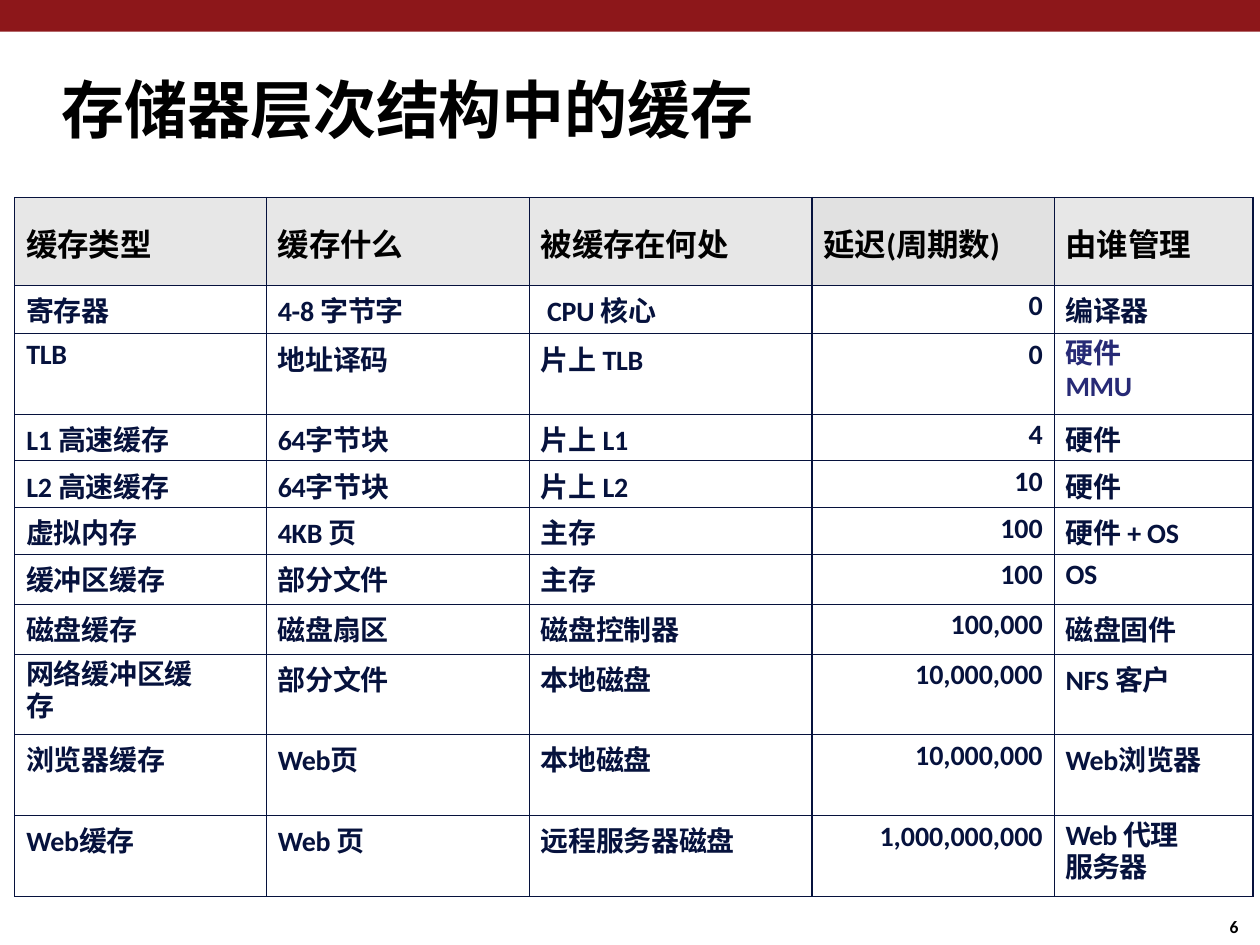
from dataclasses import dataclass
from typing import Any

from lxml import etree
from pptx import Presentation
from pptx import util as u
from pptx.dml.color import RGBColor
from pptx.enum import shapes, text
from pptx.oxml.ns import qn

COLORS = {
    "bar": "8D171A",
    "black": "000000",
    "navy": "06123D",
    "violet": "272A76",
    "header": "E7E7E7",
    "latency": "E1E1E1",
}
LATENCY_COL = 3
COL_WIDTHS = [5.07, 5.3, 5.7, 4.88, 4.01]
ROW_HEIGHTS = [1.77, 0.98, 1.62, 0.94, 0.94, 0.94, 1.01, 1.01, 1.62, 1.63, 1.63]


@dataclass
class Style:
    size: float
    color: str
    spc: int = -10
    indent: float = 0
    before: float = 0
    line: float | None = None
    align: text.PP_ALIGN = text.PP_ALIGN.LEFT


@dataclass
class Cell:
    text: str
    style: Style
    top: float = 0.08
    right: float = 0


@dataclass
class Label:
    text: str
    left: float
    top: float
    width: float
    height: float
    style: Style


HEADER = Style(18, "black", indent=0.23, before=12.7)
BODY = Style(16, "navy", indent=0.23, before=1.9)
CORE = Style(16, "navy", indent=0.36, before=1.9)
NUMBER = Style(16, "navy", spc=0, before=1.9, align=text.PP_ALIGN.RIGHT)
TIGHT = Style(16, "navy", indent=0.23, before=3, line=18.7)
PROXY = Style(16, "navy", spc=-40, indent=0.23, before=3, line=18.7)
MMU = Style(16, "violet", indent=0.23, before=3, line=18.7)

HEADINGS = ["缓存类型", "缓存什么", "被缓存在何处", "延迟(周期数)", "由谁管理"]
ROWS = [
    ["寄存器", "4-8 字节字", Cell("CPU 核心", CORE), "0", "编译器"],
    ["TLB", "地址译码", "片上 TLB", "0", Cell("硬件MMU", MMU, 0.1, 1.65)],
    ["L1 高速缓存", "64字节块", "片上 L1", "4", "硬件"],
    ["L2 高速缓存", "64字节块", "片上 L2", "10", "硬件"],
    ["虚拟内存", "4KB 页", "主存", "100", "硬件 + OS"],
    ["缓冲区缓存", "部分文件", "主存", "100", "OS"],
    ["磁盘缓存", "磁盘扇区", "磁盘控制器", "100,000", "磁盘固件"],
    [Cell("网络缓冲区缓存", TIGHT, 0.1, 1.15), "部分文件", "本地磁盘", "10,000,000", "NFS 客户"],
    ["浏览器缓存", "Web页", "本地磁盘", "10,000,000", "Web浏览器"],
    ["Web缓存", "Web 页", "远程服务器磁盘", "1,000,000,000", Cell("Web 代理服务器", PROXY, 0.1, 1.15)],
]
LABELS = [
    Label("6", 24.71, 18.52, 0.51, 0.43, Style(10, "black", indent=0.08, line=10.4)),
    Label("存储器层次结构中的缓存", 1.22, 1.42, 22.99, 1.55, Style(36, "black", indent=0.03)),
]


def rgb(name: str) -> RGBColor:
    return RGBColor.from_string(COLORS[name])


def apply(obj: Any, formats: dict[str, Any]) -> None:
    for name, value in formats.items():
        setattr(obj, name, value)


def write(tf: Any, content: str, style: Style) -> None:
    p = tf.paragraphs[0]
    apply(p, {"alignment": style.align, "space_before": u.Pt(style.before)})
    if style.line:
        p.line_spacing = u.Pt(style.line)
    p._p.get_or_add_pPr().set("marL", str(u.Cm(style.indent)))
    r = p.add_run()
    r.text = content
    apply(r.font, {"name": "Calibri", "size": u.Pt(style.size), "bold": True})
    r.font.color.rgb = rgb(style.color)
    r._r.get_or_add_rPr().set("spc", str(style.spc))


def add_label(s: Any, label: Label) -> None:
    box = map(u.Cm, (label.left, label.top, label.width, label.height))
    tf = s.shapes.add_textbox(*box).text_frame
    apply(tf, {"word_wrap": True, "margin_left": 0, "margin_top": 0,
               "margin_right": 0, "margin_bottom": 0})
    write(tf, label.text, label.style)


def add_borders(cell: Any) -> None:
    tc_pr = cell._tc.get_or_add_tcPr()
    for side in ("lnL", "lnR", "lnT", "lnB"):
        ln = etree.SubElement(tc_pr, qn(f"a:{side}"), w=str(u.Pt(0.75)))
        fill = etree.SubElement(ln, qn("a:solidFill"))
        etree.SubElement(fill, qn("a:srgbClr"), val=COLORS["navy"])


def resolve(item: str | Cell, row: int, col: int) -> Cell:
    if isinstance(item, Cell):
        return item
    if row == 0:
        return Cell(item, HEADER, 0.45)
    if col == LATENCY_COL:
        return Cell(item, NUMBER, right=0.23)
    return Cell(item, BODY)


def add_cache_table(s: Any) -> None:
    frame = s.shapes.add_table(
        len(ROW_HEIGHTS), len(COL_WIDTHS), u.Cm(0.3), u.Cm(3.98),
        u.Cm(sum(COL_WIDTHS)), u.Cm(sum(ROW_HEIGHTS)))
    table = frame.table
    apply(table, {"first_row": False, "horz_banding": False})
    for column, width in zip(table.columns, COL_WIDTHS):
        column.width = u.Cm(width)
    for row, height in zip(table.rows, ROW_HEIGHTS):
        row.height = u.Cm(height)
    for i, items in enumerate([HEADINGS, *ROWS]):
        for j, item in enumerate(items):
            data = resolve(item, i, j)
            cell = table.cell(i, j)
            apply(cell, {"margin_left": 0, "margin_top": u.Cm(data.top),
                         "margin_right": u.Cm(data.right), "margin_bottom": 0})
            add_borders(cell)
            if i == 0:
                cell.fill.solid()
                cell.fill.fore_color.rgb = rgb("latency" if j == LATENCY_COL else "header")
            else:
                cell.fill.background()
            write(cell.text_frame, data.text, data.style)


def add_bar(s: Any, width: int) -> None:
    sp = s.shapes.add_shape(shapes.MSO_SHAPE.RECTANGLE, 0, 0, width, u.Cm(0.64))
    sp.shadow.inherit = False
    sp.fill.solid()
    sp.fill.fore_color.rgb = rgb("bar")
    sp.line.fill.background()


def main() -> None:
    prs = Presentation()
    apply(prs, {"slide_width": u.Cm(25.4), "slide_height": u.Cm(19.05)})
    s = prs.slides.add_slide(prs.slide_layouts[6])
    add_bar(s, prs.slide_width)
    for label in LABELS:
        add_label(s, label)
    add_cache_table(s)
    prs.save("out.pptx")


if __name__ == "__main__":
    main()
